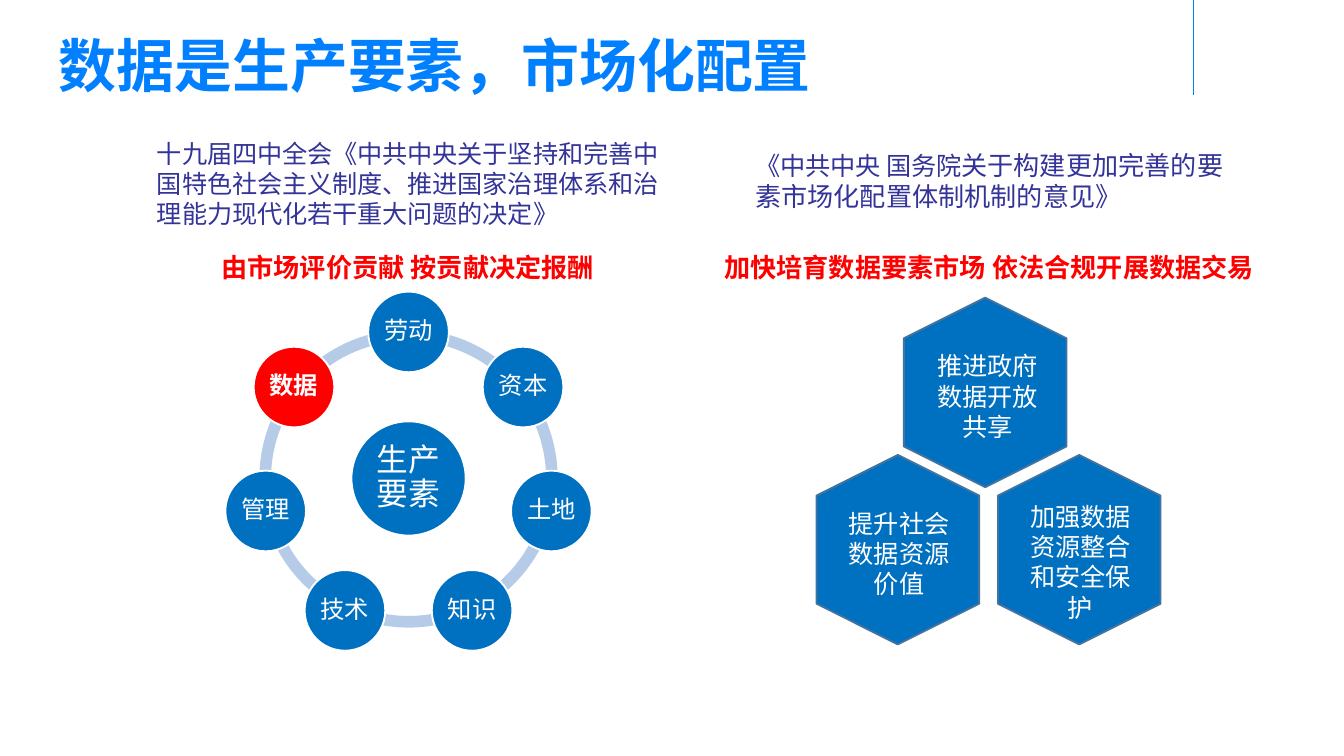
from math import cos, pi, sin

from pptx import Presentation
from pptx.dml.color import RGBColor
from pptx.enum.shapes import MSO_CONNECTOR, MSO_SHAPE
from pptx.enum.text import MSO_ANCHOR, PP_ALIGN
from pptx.oxml.ns import qn
from pptx.util import Inches, Pt

AZURE, NAVY, BLUE, RED, WHITE = "0080FF", "333399", "0070C0", "FF0000", "FFFFFF"
RING_COLOR, HEXAGON_EDGE = "B5CBE7", "43739E"
CJK = "Noto Sans CJK SC"

# Each text is a list of (wording, font, size) runs, after its left, top, width, height
TITLE = ((0.34, 0.17, 7.83, 0.62), [("数据是生产要素，市场化配置", CJK, 31)])
POLICIES = [
    ((1.07, 0.98, 3.93, 0.78),
     [("十九届四中全会《中共中央关于坚持和完善中国特色社会主义制度、"
       "推进国家治理体系和治理能力现代化若干重大问题的决定》", "Arial", 13.5)]),
    ((5.52, 1.06, 3.72, 0.57),
     [("《中共中央 国务院", "Arial", 13.5),
      ("关于构建更加完善的要素市场化配置体制机制的意见》", "Arial", 14)]),
]
HEADLINES = [
    ((1.37, 1.82, 3.33, 0.34), [("由市场评价贡献 按贡献决定报酬", "Arial", 14)]),
    ((5.29, 1.82, 4.23, 0.34),
     [("加快培育数据要素市场 ", "Arial", 14), ("依法合规开展数据交易", CJK, 14)]),
]
HUB = "生产要素"
FACTORS = ["劳动", "资本", "土地", "知识", "技术", "管理", "数据"]
HIGHLIGHT = "数据"
# Wording, hexagon centre x and y, text box
MEASURES = [
    ("加强数据资源整合和安全保护", 8.03, 4.09, (7.56, 3.68, 0.96, 1.01)),
    ("提升社会数据资源价值", 6.68, 4.09, (6.21, 3.73, 0.96, 0.78)),
    ("推进政府数据开放共享", 7.33, 2.92, (6.87, 2.56, 0.96, 0.78)),
]

CENTER_X, CENTER_Y, ORBIT = 3.04, 3.56, 1.09
RING_SIZE, HUB_SIZE, FACTOR_SIZE = 2.22, 0.85, 0.6
FULL_TURN = 216  # 360 degrees in python-pptx adjustment units
HEXAGON_LENGTH, HEXAGON_BREADTH = 1.41, 1.21


def rgb(color):
    return RGBColor.from_string(color)


def write(frame, runs, color, bold=False, align=PP_ALIGN.LEFT,
          anchor=MSO_ANCHOR.TOP, inset=None, spacing=None, wrap=True):
    frame.word_wrap = wrap
    frame.vertical_anchor = anchor
    if inset is not None:
        frame.margin_left = frame.margin_right = Inches(inset)
        frame.margin_top = frame.margin_bottom = Inches(inset)
    paragraph = frame.paragraphs[0]
    paragraph.alignment = align
    paragraph.line_spacing = spacing
    for wording, font, size in runs:
        run = paragraph.add_run()
        run.text = wording
        run.font.name, run.font.size, run.font.bold = font, Pt(size), bold
        run.font.color.rgb = rgb(color)


def add_text(box, runs, color, **text_format):
    holder = slide.shapes.add_textbox(*map(Inches, box))
    write(holder.text_frame, runs, color, **text_format)


def add_centered(kind, x, y, width, height, fill, edge=None):
    """Add a preset shape around the point x, y."""
    shape = slide.shapes.add_shape(
        kind, Inches(x - width / 2), Inches(y - height / 2), Inches(width), Inches(height))
    shape.shadow.inherit = False
    shape.fill.solid()
    shape.fill.fore_color.rgb = rgb(fill)
    if edge:
        shape.line.color.rgb = rgb(edge)
        shape.line.width = Pt(1)
    else:
        shape.line.fill.background()
    return shape


def add_disc(x, y, size, label, font_size, fill=BLUE, bold=False):
    disc = add_centered(MSO_SHAPE.OVAL, x, y, size, size, fill, WHITE)
    write(disc.text_frame, [(label, "Calibri", font_size)], WHITE, bold=bold,
          align=PP_ALIGN.CENTER, anchor=MSO_ANCHOR.MIDDLE, inset=0.02, spacing=0.9)


prs = Presentation()
prs.slide_width = Inches(10)
prs.slide_height = prs.slide_width * 9 // 16
slide = prs.slides.add_slide(prs.slide_layouts[6])

accent = slide.shapes.add_connector(
    MSO_CONNECTOR.STRAIGHT, Inches(8.88), Inches(0), Inches(8.88), Inches(0.71))
accent.line.color.rgb = rgb(AZURE)
accent.line.width = Pt(1)
# Without its theme style the connector has neither a shadow nor a theme line
accent._element.remove(accent._element.find(qn("p:style")))

add_text(*TITLE, AZURE, bold=True)
for box, runs in POLICIES:
    add_text(box, runs, NAVY)

step = 1 / len(FACTORS)
for i in range(len(FACTORS)):
    arc = add_centered(MSO_SHAPE.BLOCK_ARC, CENTER_X, CENTER_Y,
                       RING_SIZE, RING_SIZE, RING_COLOR)
    arc.adjustments[0] = (0.75 + i * step) % 1 * FULL_TURN
    arc.adjustments[1] = (0.75 + (i + 1) * step) % 1 * FULL_TURN
    arc.adjustments[2] = 0.039

add_disc(CENTER_X, CENTER_Y, HUB_SIZE, HUB, 17)
for i, factor in enumerate(FACTORS):
    angle = 2 * pi * i * step
    chosen = factor == HIGHLIGHT
    add_disc(CENTER_X + ORBIT * sin(angle), CENTER_Y - ORBIT * cos(angle), FACTOR_SIZE,
             factor, 13, fill=RED if chosen else BLUE, bold=chosen)

for (box, runs), align, wrap in zip(
        HEADLINES, (PP_ALIGN.CENTER, PP_ALIGN.LEFT), (True, False)):
    add_text(box, runs, RED, bold=True, align=align, wrap=wrap)

for measure, x, y, box in MEASURES:
    hexagon = add_centered(MSO_SHAPE.HEXAGON, x, y, HEXAGON_LENGTH, HEXAGON_BREADTH,
                           BLUE, HEXAGON_EDGE)
    hexagon.rotation = 90
    add_text(box, [(measure, "Arial", 13.5)], WHITE, align=PP_ALIGN.CENTER)

prs.save("out.pptx")
